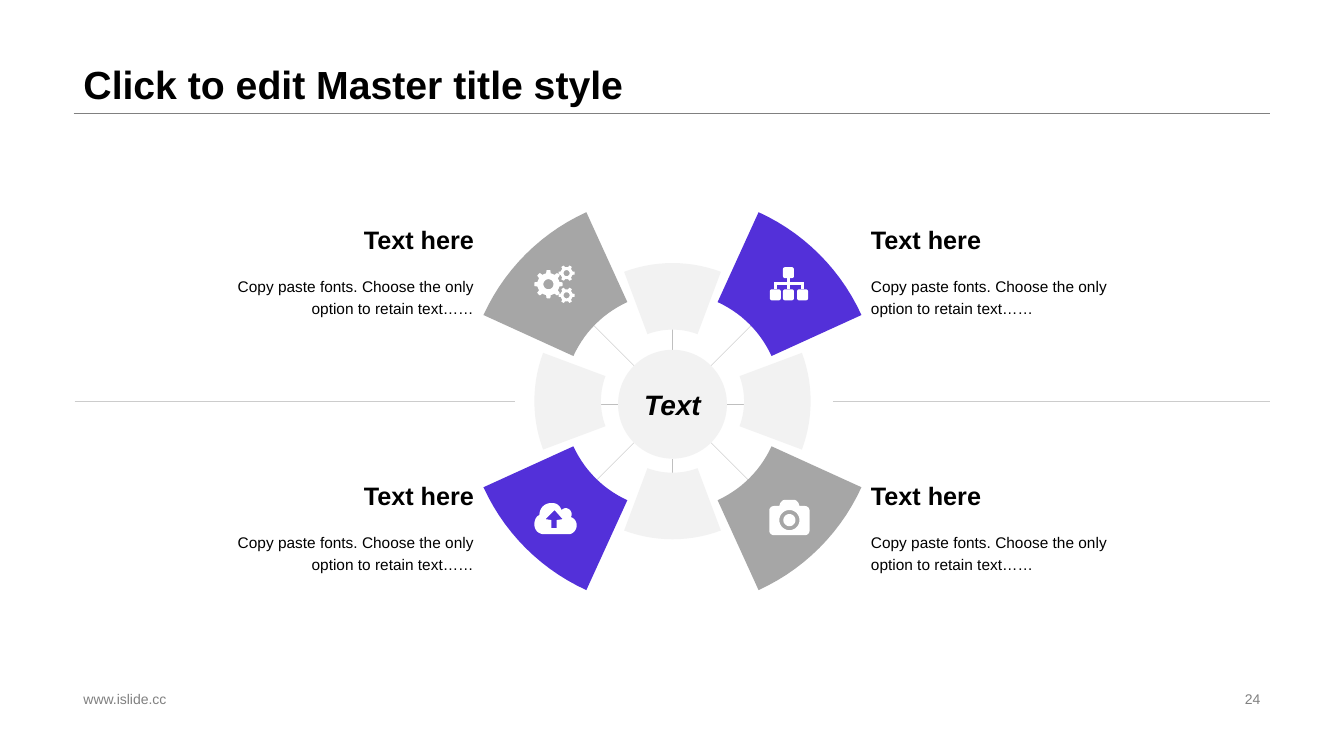
from dataclasses import dataclass
from math import cos, radians, sin

from lxml.etree import SubElement
from pptx import Presentation
from pptx.dml.color import RGBColor
from pptx.enum.shapes import MSO_CONNECTOR as Connector, MSO_SHAPE as Shape
from pptx.enum.text import MSO_ANCHOR as Anchor, PP_ALIGN as Align
from pptx.oxml.ns import qn
from pptx.util import Inches, Pt


@dataclass(frozen=True)
class Theme:
    font: str = "Arial"
    ink: str = "000000"
    muted: str = "808080"
    accent: str = "5330D9"
    grey: str = "A6A6A6"
    pale: str = "F2F2F2"
    white: str = "FFFFFF"
    spoke: str = "BFBFBF"
    divider: str = "CCCCCC"
    title_size: int = 28
    hub_size: int = 20
    heading_size: int = 18
    body_size: int = 11
    footer_size: int = 10


def arc(center, radius, start, end, step=3):
    """Points along a circle, with angles in degrees clockwise from the right."""
    count = max(1, round(abs(end - start) / step))
    angles = [radians(start + (end - start) * i / count) for i in range(count + 1)]
    return [(center[0] + radius * cos(a), center[1] + radius * sin(a)) for a in angles]


def ring_sector(center, inner, outer, middle, half_angle):
    first, last = middle - half_angle, middle + half_angle
    return arc(center, outer, first, last) + arc(center, inner, last, first)


def gear(center, teeth, tip, root, hole):
    """Toothed outline and round hole of a gear."""
    pitch = 360 / teeth
    outline = []
    for i in range(teeth):
        middle = i * pitch
        outline += arc(center, tip, middle - pitch * 0.17, middle + pitch * 0.17)
        outline += arc(center, root, middle + pitch * 0.27, middle + pitch * 0.73)
    return [outline, arc(center, hole, 0, 360, 10)]


def curved(start, *segments, steps=10):
    """Flatten segments: one point is a straight line, three are a cubic curve."""
    points = [start]
    for segment in segments:
        if len(segment) == 1:
            points.append(segment[0])
            continue
        corners = (points[-1], *segment)
        for i in range(1, steps + 1):
            t = i / steps
            weights = ((1 - t) ** 3, 3 * t * (1 - t) ** 2, 3 * t * t * (1 - t), t ** 3)
            points.append(tuple(sum(w * c[axis] for w, c in zip(weights, corners))
                                for axis in (0, 1)))
    return points


class SlideBuilder:
    def __init__(self, slide, theme):
        self.shapes = slide.shapes
        self.theme = theme

    def paint(self, shape, color):
        shape.shadow.inherit = False
        shape.fill.solid()
        shape.fill.fore_color.rgb = RGBColor.from_string(color)
        shape.line.fill.background()
        return shape

    def label(self, box, text, size, color=None, bold=False, italic=False,
              align=Align.LEFT, anchor=Anchor.MIDDLE, spacing=None):
        frame = box.text_frame
        frame.word_wrap = True
        frame.vertical_anchor = anchor
        para = frame.paragraphs[0]
        para.text = text
        para.alignment = align
        para.line_spacing = spacing
        font = para.font
        font.name, font.size, font.bold, font.italic = self.theme.font, Pt(size), bold, italic
        font.color.rgb = RGBColor.from_string(color or self.theme.ink)

    def text(self, area, text, size, **style):
        self.label(self.shapes.add_textbox(*map(Inches, area)), text, size, **style)

    def line(self, start, end, color, width, start_box=None, end_box=None):
        """Straight line; boxes are joined at their bottom (start) or top (end)."""
        line = self.shapes.add_connector(Connector.STRAIGHT, *map(Inches, (*start, *end)))
        line.line.color.rgb = RGBColor.from_string(color)
        line.line.width = Pt(width)
        SubElement(line._element.spPr, qn("a:effectLst"))
        if start_box is not None:
            line.begin_connect(start_box, 2)
        if end_box is not None:
            line.end_connect(end_box, 0)

    def shape(self, kind, area, color):
        return self.paint(self.shapes.add_shape(kind, *map(Inches, area)), color)

    def outline(self, contours, color):
        """One filled freeform; inner contours become holes."""
        scaled = [[(Inches(x), Inches(y)) for x, y in contour] for contour in contours]
        builder = self.shapes.build_freeform(*scaled[0][0])
        for i, contour in enumerate(scaled):
            if i:
                builder.move_to(*contour[0])
            builder.add_line_segments(contour[1:], close=True)
        return self.paint(builder.convert_to_shape(), color)


def draw_wheel(page):
    theme = page.theme
    center, hub, hub_radius = (6.67, 3.98), (6.67, 4.01), 0.54
    for angle in range(0, 360, 45):
        reach = 1.98 if angle % 90 else 1.3
        start, end = (arc(hub, r, angle, angle)[0] for r in (hub_radius, reach))
        page.line(start, end, theme.spoke, 0.25)
    for angle in range(0, 360, 90):
        page.outline([ring_sector(center, 0.71, 1.37, angle, 20.5)], theme.pale)
        color = theme.accent if angle % 180 else theme.grey
        page.outline([ring_sector(center, 1.08, 2.06, angle + 45, 20.5)], color)
    disc = page.shape(Shape.OVAL, (hub[0] - hub_radius, hub[1] - hub_radius,
                                   2 * hub_radius, 2 * hub_radius), theme.pale)
    page.label(disc, "Text", theme.hub_size, bold=True, italic=True, align=Align.CENTER)


def draw_gears(page):
    contours = gear((5.44, 2.82), 8, 0.14, 0.11, 0.05)
    for y in (2.71, 2.93):
        contours += gear((5.62, y), 6, 0.08, 0.06, 0.03)
    page.outline(contours, page.theme.white)


def draw_hierarchy(page):
    color, side, bar_y = page.theme.white, 0.11, 2.81
    columns = (7.69, 7.82, 7.96)

    def node(x, top):
        box = page.shape(Shape.ROUNDED_RECTANGLE, (x - side / 2, top, side, side), color)
        box.adjustments[0] = 0.2
        return box

    root = node(columns[1], 2.65)
    for x in columns:
        leaf = node(x, 2.87)
        parent = root if x == columns[1] else None
        page.line((x, 2.76 if parent else bar_y), (x, 2.87), color, 2.25, parent, leaf)
    page.line((columns[0] - 0.01, bar_y), (columns[2] + 0.01, bar_y), color, 2.25)


def draw_cloud(page):
    cloud = curved(
        (5.64, 5.3), ((5.4, 5.3),),
        ((5.34, 5.3), (5.3, 5.26), (5.3, 5.2)),
        ((5.3, 5.16), (5.32, 5.12), (5.35, 5.11)),
        ((5.35, 5.04), (5.4, 4.99), (5.47, 4.99)),
        ((5.52, 4.99), (5.55, 5.01), (5.57, 5.06)),
        ((5.58, 5.05), (5.6, 5.04), (5.61, 5.04)),
        ((5.64, 5.04), (5.67, 5.07), (5.67, 5.1)),
        ((5.67, 5.11), (5.67, 5.12), (5.66, 5.13)),
        ((5.7, 5.14), (5.72, 5.18), (5.72, 5.21)),
        ((5.72, 5.26), (5.68, 5.3), (5.64, 5.3)))
    arrow = [(5.5, 5.06), (5.58, 5.15), (5.52, 5.16), (5.52, 5.24),
             (5.47, 5.24), (5.47, 5.16), (5.41, 5.15)]
    page.outline([cloud, arrow], page.theme.white)


def draw_camera(page):
    body = curved(
        (8.03, 5.07), ((8.03, 5.26),),
        ((8.03, 5.29), (8.01, 5.31), (7.98, 5.31)), ((7.68, 5.31),),
        ((7.65, 5.31), (7.63, 5.29), (7.63, 5.26)), ((7.63, 5.07),),
        ((7.63, 5.04), (7.65, 5.02), (7.68, 5.02)), ((7.73, 5.02),), ((7.74, 4.99),),
        ((7.75, 4.98), (7.76, 4.96), (7.78, 4.96)), ((7.88, 4.96),),
        ((7.9, 4.96), (7.91, 4.98), (7.92, 4.99)), ((7.93, 5.02),), ((7.98, 5.02),),
        ((8.01, 5.02), (8.03, 5.04), (8.03, 5.07)))
    rings = [arc((7.83, 5.16), radius, 0, 360, 10) for radius in (0.1, 0.06)]
    page.outline([body, *rings], page.theme.white)


def main():
    deck = Presentation()
    deck.slide_width, deck.slide_height = Inches(13.33), Inches(7.5)
    theme = Theme()
    page = SlideBuilder(deck.slides.add_slide(deck.slide_layouts[6]), theme)

    page.line((0.73, 1.12), (12.6, 1.12), theme.muted, 0.25)
    page.text((0.73, 0, 11.87, 1.12), "Click to edit Master title style",
              theme.title_size, bold=True, anchor=Anchor.BOTTOM, spacing=0.9)
    page.text((0.73, 6.82, 4.53, 0.23), "www.islide.cc", theme.footer_size, color=theme.muted)
    page.text((9.42, 6.82, 3.18, 0.23), "24", theme.footer_size, color=theme.muted,
              align=Align.RIGHT)

    draw_wheel(page)
    for draw_icon in (draw_gears, draw_hierarchy, draw_cloud, draw_camera):
        draw_icon(page)

    for left, align in ((1.94, Align.RIGHT), (8.54, Align.LEFT)):
        for top in (2.1, 4.64):
            page.text((left, top, 2.86, 0.56), "Text here", theme.heading_size,
                      bold=True, align=align)
            page.text((left, top + 0.56, 2.86, 0.66),
                      "Copy paste fonts. Choose the only option to retain text……",
                      theme.body_size, align=align, anchor=Anchor.TOP, spacing=1.2)
    for left, right in ((0.74, 5.11), (8.26, 12.6)):
        page.line((left, 3.98), (right, 3.98), theme.divider, 0.5)

    deck.save("out.pptx")


if __name__ == "__main__":
    main()
